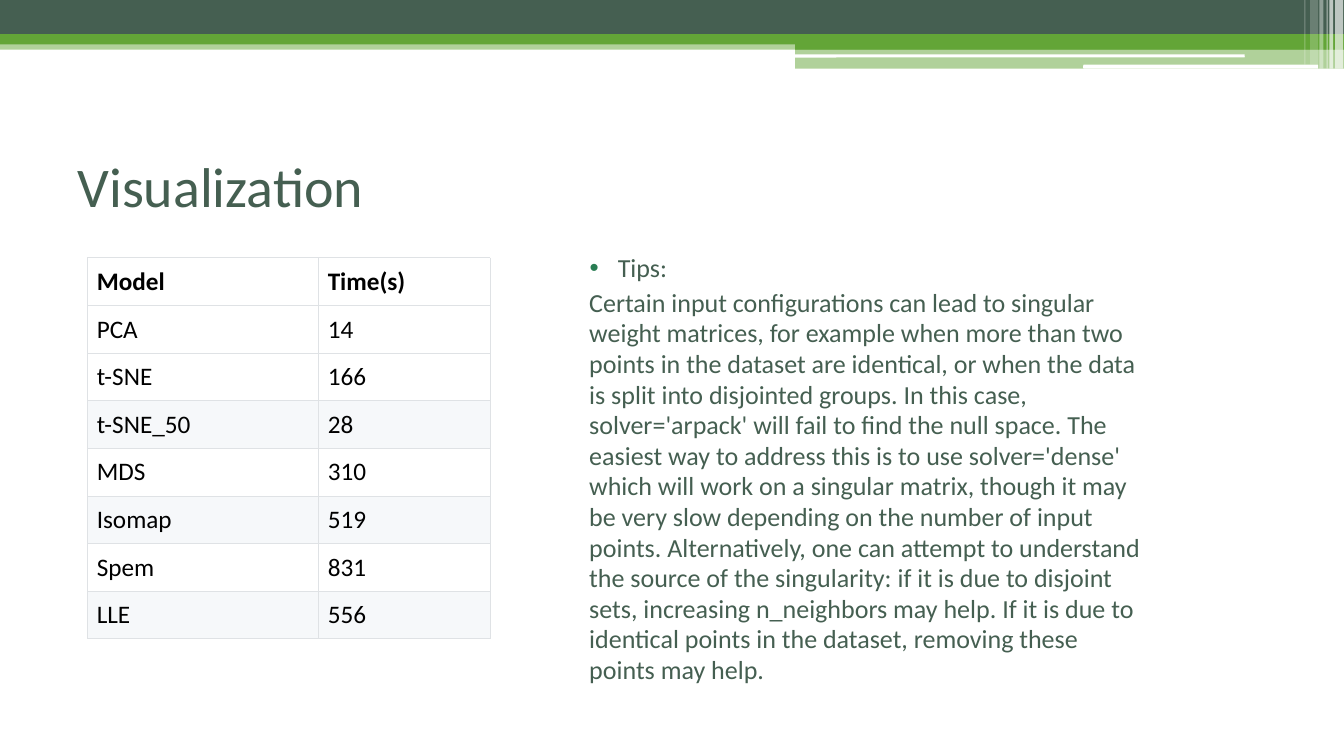
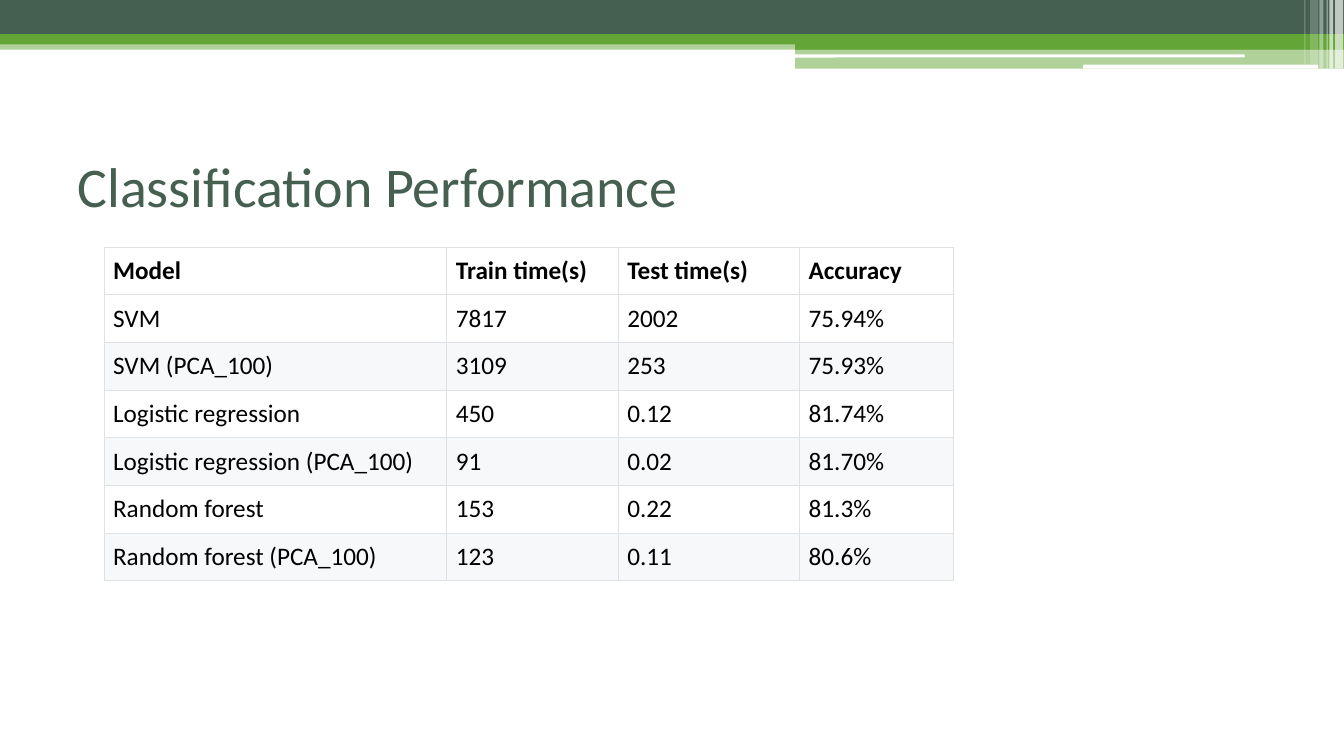
from dataclasses import dataclass

from lxml import etree
from pptx import Presentation
from pptx.dml.color import RGBColor
from pptx.enum.shapes import MSO_SHAPE
from pptx.enum.text import MSO_ANCHOR, PP_ALIGN
from pptx.oxml.ns import qn
from pptx.util import Cm, Pt

RECTANGLE = MSO_SHAPE.RECTANGLE
ROUNDED = MSO_SHAPE.ROUNDED_RECTANGLE
MIDDLE = MSO_ANCHOR.MIDDLE
LEFT = PP_ALIGN.LEFT

FONT = "Calibri"
DARK = RGBColor(0x45, 0x5F, 0x51)
GREEN = RGBColor(0x63, 0xA5, 0x37)
WHITE = RGBColor(0xFF, 0xFF, 0xFF)
BLACK = RGBColor(0x00, 0x00, 0x00)
SHADE = RGBColor(0xF6, 0xF8, 0xFA)
BORDER = RGBColor(0xDF, 0xE2, 0xE5)
BULLET = RGBColor(0x29, 0x7D, 0x53)

PAGE_WIDTH = 33.87
PAGE_HEIGHT = 19.05
ROW_HEIGHT = 1.2
TITLE_ONLY = 5


@dataclass(frozen=True)
class Band:
    """A borderless bar; lengths in cm, opacity in percent."""
    left: float
    top: float
    width: float
    height: float
    color: RGBColor = WHITE
    opacity: int = 100
    outline: int = RECTANGLE


@dataclass(frozen=True)
class ModelTable:
    """A table in cm; every second row from first_shaded on is tinted."""
    left: float
    top: float
    widths: tuple[float, ...]
    first_shaded: int
    rows: tuple[tuple[str, ...], ...]


BANDS = (
    Band(0, 1.02, PAGE_WIDTH, 0.23, GREEN, 50),
    Band(0, 0, PAGE_WIDTH, 0.86, DARK),
    Band(0, 0.86, PAGE_WIDTH, 0.26, GREEN),
    Band(20.04, 0.99, 13.83, 0.26, GREEN),
    Band(20.04, 1.23, 13.83, 0.5, GREEN, 50),
    Band(20.02, 1.37, 11.35, 0.08, outline=ROUNDED),
    Band(27.3, 1.63, 5.92, 0.1, outline=ROUNDED),
    Band(33.65, 0, 0.2, 1.73, opacity=65),
    Band(33.5, 0, 0.1, 1.73, opacity=65),
    Band(33.43, 0, 0.03, 1.73, opacity=60),
    Band(33.25, 0, 0.1, 1.73, opacity=40),
    Band(33.02, 0, 0.2, 1.63, opacity=20),
    Band(32.87, 0, 0.03, 1.63, opacity=30),
)

TIMES = ModelTable(2.21, 6.5, (5.82, 4.32), 3, (
    ("Model", "Time(s)"),
    ("PCA", "14"),
    ("t-SNE", "166"),
    ("t-SNE_50", "28"),
    ("MDS", "310"),
    ("Isomap", "519"),
    ("Spem", "831"),
    ("LLE", "556"),
))

PERFORMANCE = ModelTable(2.62, 6.23, (8.64, 4.32, 4.57, 3.89), 2, (
    ("Model", "Train time(s)", "Test time(s)", "Accuracy"),
    ("SVM", "7817", "2002", "75.94%"),
    ("SVM (PCA_100)", "3109", "253", "75.93%"),
    ("Logistic regression", "450", "0.12", "81.74%"),
    ("Logistic regression (PCA_100)", "91", "0.02", "81.70%"),
    ("Random forest", "153", "0.22", "81.3%"),
    ("Random forest (PCA_100)", "123", "0.11", "80.6%"),
))

TIPS = (
    "Certain input configurations can lead to singular weight matrices, for example "
    "when more than two points in the dataset are identical, or when the data is split "
    "into disjointed groups. In this case, solver='arpack' will fail to find the null "
    "space. The easiest way to address this is to use solver='dense' which will work on "
    "a singular matrix, though it may be very slow depending on the number of input "
    "points. Alternatively, one can attempt to understand the source of the singularity: "
    "if it is due to disjoint sets, increasing n_neighbors may help. If it is due to "
    "identical points in the dataset, removing these points may help."
)


def write_text(para, text: str, *, size: float, color: RGBColor = DARK,
               bold: bool = False) -> None:
    para.alignment = LEFT
    span = para.add_run()
    span.text = text
    span.font.name = FONT
    span.font.size = Pt(size)
    span.font.bold = bold
    span.font.color.rgb = color


def add_solid_color(parent, color: RGBColor, tag: str = "a:solidFill") -> None:
    holder = etree.SubElement(parent, qn(tag))
    etree.SubElement(holder, qn("a:srgbClr"), val=str(color))


def set_indent(para, margin: float, first_line: float = 0) -> None:
    properties = para._p.get_or_add_pPr()
    properties.set("marL", str(Cm(margin)))
    properties.set("indent", str(Cm(first_line)))


def add_bullet(para) -> None:
    properties = para._p.get_or_add_pPr()
    add_solid_color(properties, BULLET, "a:buClr")
    etree.SubElement(properties, qn("a:buFont"), typeface="Arial")
    etree.SubElement(properties, qn("a:buChar"), char="•")


def draw_band(page, band: Band):
    shape = page.shapes.add_shape(band.outline, Cm(band.left), Cm(band.top),
                                  Cm(band.width), Cm(band.height))
    shape.shadow.inherit = False
    shape.fill.solid()
    shape.fill.fore_color.rgb = band.color
    shape.line.fill.background()
    if band.opacity < 100:
        color = shape.element.spPr.find(".//" + qn("a:srgbClr"))
        etree.SubElement(color, qn("a:alpha"), val=str(band.opacity * 1000))
    return shape


def move_bands_to_layout(page, layout) -> None:
    """Draw the bands on a page, then hand them to the layout all pages share."""
    for holder in list(layout.placeholders)[1:]:
        holder.element.getparent().remove(holder.element)
    for band in BANDS:
        layout.shapes.element.append(draw_band(page, band).element)


def add_page(deck, layout, heading: str):
    page = deck.slides.add_slide(layout)
    title = page.shapes.title
    title.left, title.top = Cm(1.7), Cm(3.18)
    title.width, title.height = Cm(30.48), Cm(2.97)
    title.text_frame.vertical_anchor = MIDDLE
    write_text(title.text_frame.paragraphs[0], heading, size=40)
    return page


def set_borders(cell) -> None:
    properties = cell._tc.get_or_add_tcPr()
    for position, side in enumerate(("a:lnL", "a:lnR", "a:lnT", "a:lnB")):
        line = etree.Element(qn(side), w=str(Pt(0.75)))
        add_solid_color(line, BORDER)
        properties.insert(position, line)


def draw_table(page, model: ModelTable) -> None:
    frame = page.shapes.add_table(
        len(model.rows), len(model.widths), Cm(model.left), Cm(model.top),
        Cm(sum(model.widths)), Cm(ROW_HEIGHT * len(model.rows)))
    table = frame.table
    for column, width in zip(table.columns, model.widths):
        column.width = Cm(width)
    for row_index, texts in enumerate(model.rows):
        table.rows[row_index].height = Cm(ROW_HEIGHT)
        offset = row_index - model.first_shaded
        shaded = offset >= 0 and offset % 2 == 0
        for column_index, text in enumerate(texts):
            cell = table.cell(row_index, column_index)
            cell.margin_left = cell.margin_right = Cm(0.23)
            cell.margin_top = cell.margin_bottom = Cm(0.1)
            cell.vertical_anchor = MIDDLE
            cell.fill.solid()
            cell.fill.fore_color.rgb = SHADE if shaded else WHITE
            set_borders(cell)
            write_text(cell.text_frame.paragraphs[0], text, size=18,
                       color=BLACK, bold=row_index == 0)


def draw_tips(page) -> None:
    box = page.shapes.add_textbox(Cm(14.3), Cm(6.25), Cm(14.86), Cm(10.26))
    frame = box.text_frame
    frame.word_wrap = True
    label = frame.paragraphs[0]
    set_indent(label, 1.02, -0.71)
    add_bullet(label)
    body = frame.add_paragraph()
    set_indent(body, 0.3)
    body.space_before = Pt(3)
    for para, text in ((label, "Tips:"), (body, TIPS)):
        para.line_spacing = 0.98
        write_text(para, text, size=18.6)


def main() -> None:
    deck = Presentation()
    deck.slide_width, deck.slide_height = Cm(PAGE_WIDTH), Cm(PAGE_HEIGHT)
    layout = deck.slide_layouts[TITLE_ONLY]

    visualization = add_page(deck, layout, "Visualization")
    move_bands_to_layout(visualization, layout)
    draw_table(visualization, TIMES)
    draw_tips(visualization)

    performance = add_page(deck, layout, "Classification Performance")
    draw_table(performance, PERFORMANCE)

    deck.save("out.pptx")


if __name__ == "__main__":
    main()
